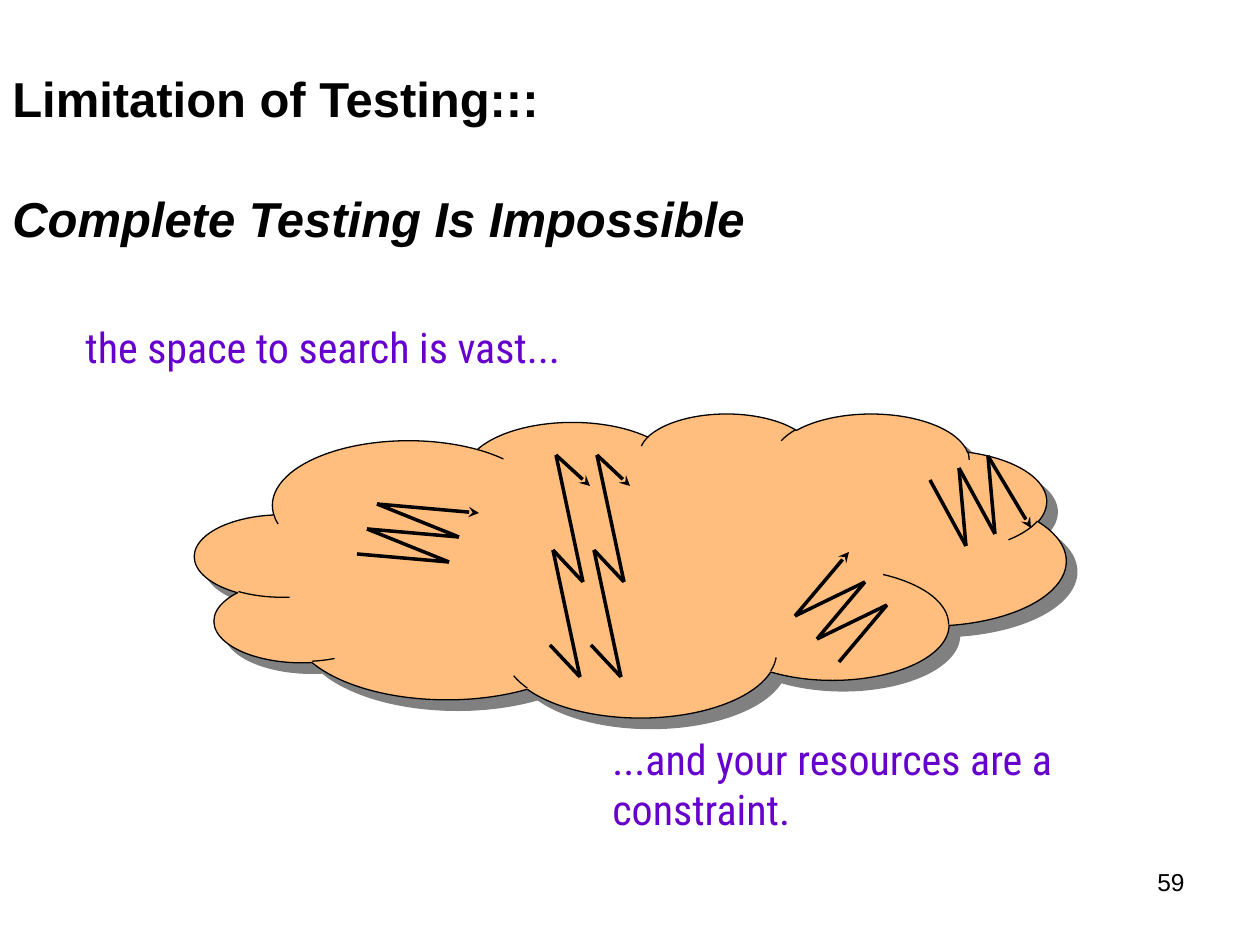
from itertools import pairwise

from lxml import etree
from pptx import Presentation
from pptx import util as u
from pptx.dml.color import RGBColor
from pptx.enum import shapes, text
from pptx.oxml import parse_xml
from pptx.oxml.ns import nsdecls, qn

SCALE = u.Inches(1) / 126
COLORS = {"ink": "000000", "caption": "6600CC", "cloud": "FFBE7D", "shadow": "808080"}


def px(*lengths):
    return [u.Emu(round(length * SCALE)) for length in lengths]


def add_text(page, place, lines, size, font, color, align=text.PP_ALIGN.LEFT,
             anchor=text.MSO_ANCHOR.TOP, wrap=True, bold=False, gap=0):
    """Each line is a (wording, italic) pair and becomes one paragraph."""
    box = page.shapes.add_textbox(*px(*place))
    frame = box.text_frame
    frame.word_wrap = wrap
    frame.vertical_anchor = anchor
    for index, (wording, italic) in enumerate(lines):
        para = frame.add_paragraph() if index else frame.paragraphs[0]
        para.alignment = align
        if index:
            para.space_before = u.Pt(gap)
        span = para.add_run()
        span.text = wording
        span.font.name = font
        span.font.size = u.Pt(size)
        span.font.bold = bold
        span.font.italic = italic
        span.font.color.rgb = RGBColor.from_string(COLORS[color])


deck = Presentation()
deck.slide_width, deck.slide_height = px(1260, 945)
page = deck.slides.add_slide(deck.slide_layouts[6])

# Page number, title and captions
add_text(page, (903, 861, 294, 66), [("59", False)], 14, "Arial", "ink",
         align=text.PP_ALIGN.RIGHT)
add_text(page, (0, 53, 1260, 210),
         [("Limitation of Testing:::", False), ("Complete Testing Is Impossible", True)],
         28, "Arial", "ink", anchor=text.MSO_ANCHOR.MIDDLE, bold=True, gap=35)
captions = [
    ("the space to search is vast...", (73, 315, 527, 115)),
    ("...and your resources are a constraint.", (600, 727, 617, 123)),
]
for wording, place in captions:
    add_text(page, place, [(wording, False)], 24, "Roboto Condensed", "caption", wrap=False)

# Search space
cloud = page.shapes.add_shape(shapes.MSO_SHAPE.CLOUD, *px(195, 413, 871, 304))
cloud.fill.solid()
cloud.fill.fore_color.rgb = RGBColor.from_string(COLORS["cloud"])
cloud.line.color.rgb = RGBColor.from_string(COLORS["ink"])
cloud.line.width = u.Pt(0.75)
cloud.shadow.inherit = False
cloud.element.spPr.find(qn("a:effectLst")).append(parse_xml(
    f'<a:outerShdw {nsdecls("a")} blurRad="0" dist="{u.Pt(8.5)}" dir="2700000" '
    f'algn="ctr" rotWithShape="0"><a:srgbClr val="{COLORS["shadow"]}"/></a:outerShdw>'))

# Zigzag searches: arrow tip, first corner, then two strokes that alternate
zigzags = [
    ((479, 513), (377, 504), (82, 33), (-92, -8)),
    ((849, 552), (795, 616), (70, -34), (-48, 57)),
    ((590, 486), (556, 455), (27, 127), (-30, -32)),
    ((1031, 528), (988, 456), (7, 78), (-36, -66)),
    ((630, 486), (597, 455), (27, 127), (-30, -32)),
]
for tip, corner, stroke, return_stroke in zigzags:
    points = [tip, corner]
    for dx, dy in (stroke, return_stroke) * 2:
        x, y = points[-1]
        points.append((x + dx, y + dy))
    for end, start in pairwise(points):
        line = page.shapes.add_connector(shapes.MSO_CONNECTOR.STRAIGHT, *px(*start, *end))
        line.line.color.rgb = RGBColor.from_string(COLORS["ink"])
        line.line.width = u.Pt(2)
        if end == tip:
            etree.SubElement(line.line._get_or_add_ln(), qn("a:tailEnd"), type="stealth")
        etree.SubElement(line.element.spPr, qn("a:effectLst"))

deck.save("out.pptx")
